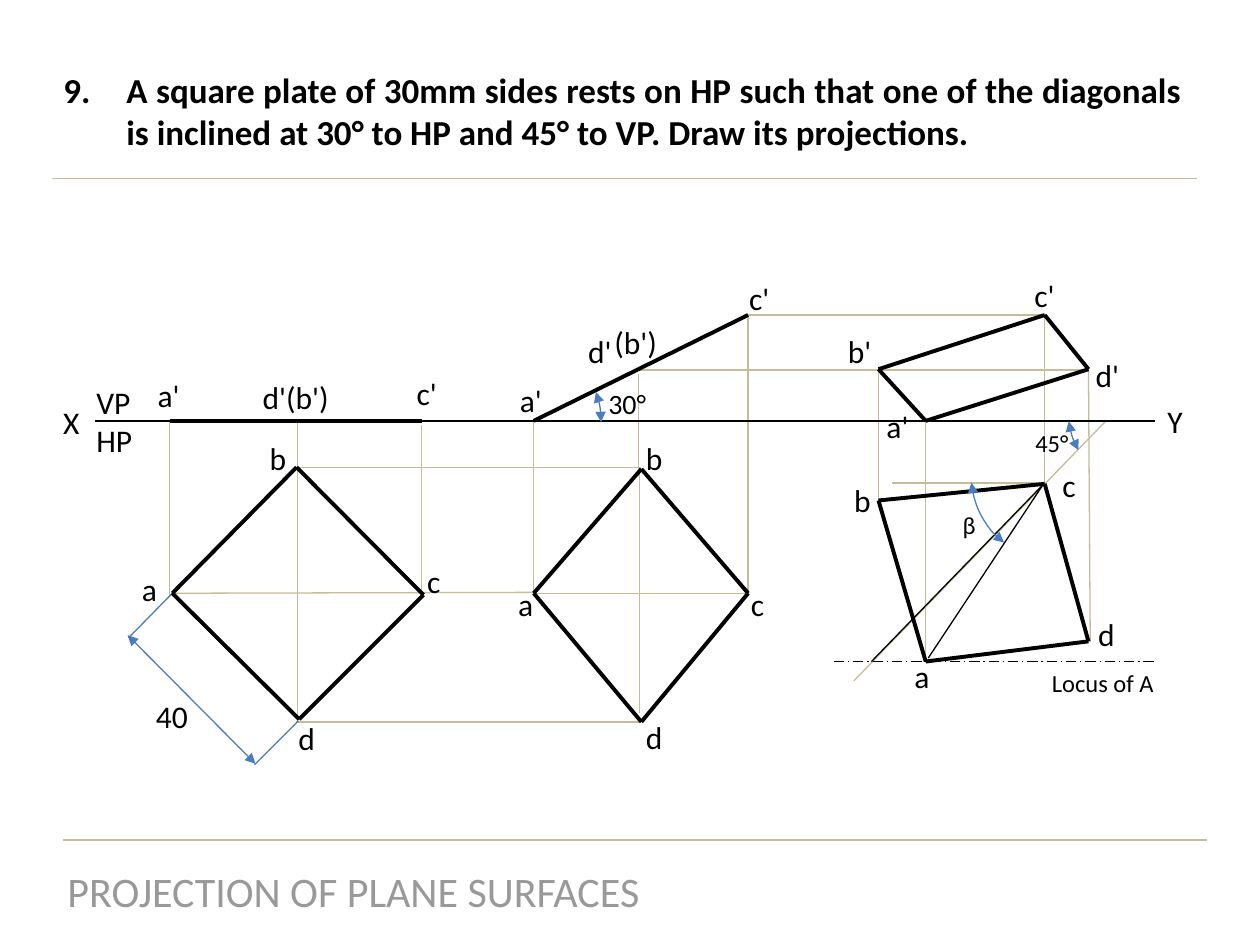
from lxml.etree import SubElement
from pptx import Presentation
from pptx.dml.color import RGBColor
from pptx.enum.dml import MSO_LINE
from pptx.enum.shapes import MSO_CONNECTOR as Connector, MSO_SHAPE as Shape
from pptx.enum.text import MSO_ANCHOR as Anchor, MSO_AUTO_SIZE as AutoSize, PP_ALIGN as Align
from pptx.oxml.ns import qn
from pptx.util import Pt

BLACK = RGBColor(0, 0, 0)
GREY = RGBColor(0x99, 0x99, 0x99)
TAN = RGBColor(0xC4, 0xBD, 0x97)
BLUE = RGBColor(0x4A, 0x7D, 0xBB)
FONT = "Calibri"
THIN, THICK = 0.75, 2.25
GROUND = 240.5

FLAT_PLAN = [(98.5, 339), (169.5, 267), (242, 340), (171, 411)]
TILTED_PLAN = [(305, 339), (366.5, 268), (427.5, 339), (366.5, 412.5)]
TURNED_PLAN = [(529, 378), (502, 286), (597, 276.5), (622, 366.5)]
TURNED_ELEVATION = [(529, GROUND), (502, 211), (597, 180), (622, 211)]
ELEVATION_EDGES = [((97, GROUND), (241, GROUND)), ((305, GROUND), (427.5, 180))]

RULES = [((36, 480), (690, 480)), ((30, 102), (684, 102))]
PROJECTORS = [
    ((488, 389), (632, GROUND)), ((510, 276), (595, 276)),
    ((529, 240), (529, 376)), ((241, 341), (241, 243)),
    ((98.5, 339), (305, 338.5)), ((97, 340.5), (97, 241)),
    ((170, 412.5), (170, 240.5)), ((169, 412.5), (366.5, 412.5)),
    ((171, 267), (366.5, 267)), ((427.5, 180), (427.5, 340)),
    ((305, 240.5), (305, 340)), ((365.5, 268.5), (365.5, 407.5)),
    ((427.5, 180), (597, 180)), ((502, 211), (502, 290)),
    ((364.5, 211.5), (502.5, 211.5)), ((622, 211), (623, 367)),
    ((597, 179.5), (597, 278.5)), ((306, 339), (427.5, 339)),
    ((365, 214), (365, 272)), ((503.5, 211.5), (619, 211.5)),
]
SIGHT_LINES = [((498, 378), (596, 277)), ((530.5, 376), (596, 277))]
EXTENSIONS = [((73.5, 364.5), (98.5, 339)), ((145.5, 437), (170.5, 412))]

LABELS = [
    ("X", 29, 227, 24), ("Y", 660, 226, 23), ("VP\nHP", 48, 215.5, 35), ("40", 82, 395, 33),
    ("a'", 83, 211.5, 28), ("d'(b')", 143, 212.5, 52.5), ("c'", 231, 210, 26),
    ("a", 74, 322, 24.5), ("b", 147, 247.5, 24.5), ("c", 237, 317.5, 22), ("d", 163.5, 407.5, 24.5),
    ("a'", 290, 214, 28), ("d'", 329, 186, 28), ("(b')", 344, 181, 39.5), ("c'", 421, 156, 26),
    ("a", 289, 331, 24.5), ("b", 362, 247.5, 24.5), ("c", 422, 331, 22), ("d", 362, 407, 24.5),
    ("a'", 499.5, 229, 28), ("b'", 477.5, 186, 28), ("c'", 584, 154, 26), ("d'", 619, 200, 28),
    ("a", 515.5, 372, 24.5), ("b", 481, 271.5, 24.5), ("c", 600, 263, 22), ("d", 620.5, 348, 24.5),
]
SMALL_LABELS = [
    ("30°", 340.5, 217.5, 40, 16), ("45°", 584.5, 241, 35, 14),
    ("β", 543, 288, 22, 14), ("Locus of A", 594, 378, 73.5, 14),
]


class Drawing:
    def __init__(self, page):
        self.page = page

    def style_text(self, para, size, color, bold=False):
        font = para.font
        font.name, font.size, font.bold = FONT, Pt(size), bold
        font.color.rgb = color

    def style_line(self, line, color, width, arrows):
        line.color.rgb = color
        line.width = Pt(width)
        if arrows:
            outline = line._get_or_add_ln()
            for end in ("a:headEnd", "a:tailEnd"):
                SubElement(outline, qn(end), type="triangle")

    def title(self, text, number, left, top, width, height):
        box = self.page.shapes.title
        box.left, box.top, box.width, box.height = Pt(left), Pt(top), Pt(width), Pt(height)
        frame = box.text_frame
        frame.text = text
        frame.word_wrap = True
        frame.auto_size = AutoSize.NONE
        frame.vertical_anchor = Anchor.TOP
        para = frame.paragraphs[0]
        para.alignment = Align.JUSTIFY
        props = para._p.get_or_add_pPr()
        props.set("marL", str(Pt(36)))
        props.set("indent", str(Pt(-36)))
        bullet_color = SubElement(props, qn("a:buClr"))
        SubElement(bullet_color, qn("a:srgbClr"), val=str(BLACK))
        SubElement(props, qn("a:buFont"), typeface="+mj-lt")
        SubElement(props, qn("a:buAutoNum"), type="arabicPeriod", startAt=str(number))
        self.style_text(para, 20, BLACK, True)

    def label(self, text, left, top, width, size=18, color=BLACK, align=Align.LEFT):
        lines = text.split("\n")
        height = 7.2 + 1.2 * size * len(lines)
        box = self.page.shapes.add_textbox(Pt(left), Pt(top), Pt(width), Pt(height))
        frame = box.text_frame
        frame.text = text
        for para in frame.paragraphs:
            para.alignment = align
            self.style_text(para, size, color)

    def line(self, start, end, color=BLACK, width=THIN, arrows=False, dash=None):
        points = [Pt(value) for value in (*start, *end)]
        connector = self.page.shapes.add_connector(Connector.STRAIGHT, *points)
        self.style_line(connector.line, color, width, False)
        if dash:
            connector.line.dash_style = dash
        self.style_line(connector.line, color, width, arrows)
        SubElement(connector._element.spPr, qn("a:effectLst"))

    def lines(self, pairs, color=BLACK, width=THIN):
        for start, end in pairs:
            self.line(start, end, color, width)

    def plate(self, corners):
        self.lines(zip(corners, corners[1:] + corners[:1]), BLACK, THICK)

    def angle_arc(self, left, top, width, height, start, end, rotation=0):
        arc = self.page.shapes.add_shape(Shape.ARC, Pt(left), Pt(top), Pt(width), Pt(height))
        arc.adjustments[0], arc.adjustments[1] = start, end
        arc.rotation = rotation
        arc.shadow.inherit = False
        arc.fill.background()
        self.style_line(arc.line, BLUE, THIN, True)


def main():
    deck = Presentation()
    deck.slide_width, deck.slide_height = Pt(720), Pt(540)
    drawing = Drawing(deck.slides.add_slide(deck.slide_layouts[5]))

    drawing.title(
        "A square plate of 30mm sides rests on HP such that one of the diagonals "
        "is inclined at 30° to HP and 45° to VP. Draw its projections.",
        9, 29, 35.5, 653.5, 55.5)
    drawing.lines(RULES + PROJECTORS, TAN)
    drawing.line((54, GROUND), (660, GROUND))
    drawing.line((476.5, 378), (660, 378), dash=MSO_LINE.LONG_DASH_DOT)
    drawing.lines(SIGHT_LINES)
    drawing.lines(EXTENSIONS, BLUE)
    drawing.line((73, 363), (146, 436.5), BLUE, arrows=True)

    for corners in (FLAT_PLAN, TILTED_PLAN, TURNED_PLAN, TURNED_ELEVATION):
        drawing.plate(corners)
    drawing.lines(ELEVATION_EDGES, BLACK, THICK)

    drawing.angle_arc(324.5, 217.5, 19, 47.5, 174.47, 0)
    drawing.angle_arc(610.5, 215.5, 19, 47.5, 174.47, 0, 171.1)
    drawing.angle_arc(555, 229.5, 70.5, 87, 181.74, 2.68, 171.1)

    for entry in LABELS + SMALL_LABELS:
        drawing.label(*entry)
    drawing.label("PROJECTION OF PLANE SURFACES", 30, 491, 344, 24, GREY, Align.CENTER)

    deck.save("out.pptx")


if __name__ == "__main__":
    main()
